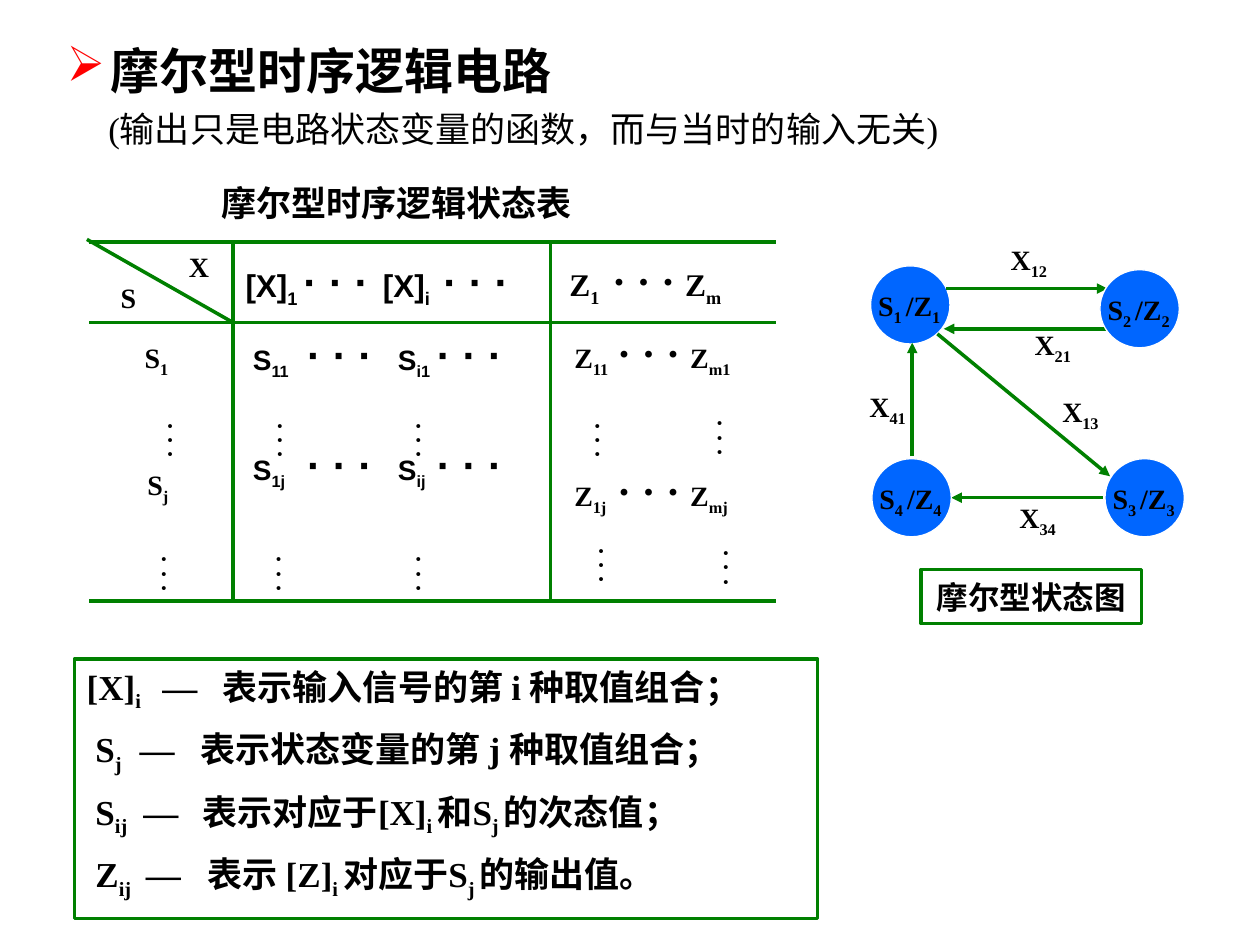
from lxml import etree
from pptx import Presentation
from pptx import util as u
from pptx.dml.color import RGBColor
from pptx.enum import shapes, text
from pptx.oxml import ns

COLORS = {"ink": "000000", "green": "008000", "node": "0066FF",
          "white": "FFFFFF", "bullet": "FF0000"}
SERIF, SANS, CJK = "Times New Roman", "Arial", "Noto Sans CJK SC"
DOTS = "· · ·"


def rgb(name):
    return RGBColor.from_string(COLORS[name])


def child(parent, tag, **attrs):
    return etree.SubElement(parent, ns.qn(tag), attrs)


def add_run(p, content, size, font=SERIF, bold=True, sub=False):
    r = p.add_run()
    r.text = content
    r.font.size, r.font.name, r.font.bold = u.Pt(size), font, bold
    r.font.color.rgb = rgb("ink")
    if sub:
        r.font._element.set("baseline", "-25000")
    if any(c >= "一" for c in content):
        child(r.font._element, "a:ea", typeface=CJK)


def write(p, markup, size, font=SERIF):
    """Text between bars is subscript; rows of dots are set at 24 pt."""
    for i, part in enumerate(markup.split("|")):
        for piece in part.partition(DOTS):
            if piece:
                add_run(p, piece, 24 if piece == DOTS else size, font, sub=i % 2 == 1)


def set_tabs(p, stops):
    tabs = child(p._p.get_or_add_pPr(), "a:tabLst")
    for stop in stops:
        child(tabs, "a:tab", pos=str(u.Inches(stop)), algn="l")


def set_insets(tf, left, top, right, bottom):
    tf.margin_left, tf.margin_top = u.Inches(left), u.Inches(top)
    tf.margin_right, tf.margin_bottom = u.Inches(right), u.Inches(bottom)


def add_text(s, at, markup="", size=16, font=SERIF, tabs=(), wrap=True, center=False):
    sp = s.shapes.add_textbox(*map(u.Inches, at))
    tf = sp.text_frame
    tf.word_wrap = wrap
    p = tf.paragraphs[0]
    if center:
        p.alignment = text.PP_ALIGN.CENTER
    if tabs:
        set_tabs(p, tabs)
    write(p, markup, size, font)
    return tf


def add_vertical_dots(s, x, y, h):
    tf = add_text(s, (x, y, 0.47, h), f"|{DOTS}|")
    tf._txBody.bodyPr.set("vert", "eaVert")


def add_line(s, x1, y1, x2, y2, arrow=False):
    c = s.shapes.add_connector(shapes.MSO_CONNECTOR.STRAIGHT,
                               *map(u.Inches, (x1, y1, x2, y2)))
    c.line.color.rgb = rgb("green")
    c.line.width = u.Pt(2)
    if arrow:
        child(c.line._get_or_add_ln(), "a:tailEnd", type="triangle")
    child(c._element.spPr, "a:effectLst")


def add_frame(s, at):
    sp = s.shapes.add_shape(shapes.MSO_SHAPE.RECTANGLE, *map(u.Inches, at))
    sp.shadow.inherit = False
    sp.fill.background()
    sp.line.color.rgb = rgb("green")
    sp.line.width = u.Pt(2)
    sp.text_frame.word_wrap = True
    return sp.text_frame


def add_node(s, x, y, n):
    sp = s.shapes.add_shape(shapes.MSO_SHAPE.OVAL, *map(u.Inches, (x, y, 0.63, 0.62)))
    sp.shadow.inherit = False
    sp.fill.solid()
    sp.fill.fore_color.rgb = rgb("node")
    sp.line.color.rgb = rgb("white")
    sp.line.width = u.Pt(0.75)
    tf = add_text(s, (x + 0.06, y + 0.18, 0.63, 0.27), f"S|{n} |/Z|{n}|")
    set_insets(tf, 0, 0, 0, 0)


def add_heading(s):
    tf = add_text(s, (0.51, 0.21, 9.4, 1.08))
    set_insets(tf, 0.02, 0.02, 0.02, 0.02)
    p = tf.paragraphs[0]
    p.line_spacing = 1.2
    pPr = p._p.get_or_add_pPr()
    pPr.set("marL", str(u.Inches(0.35)))
    pPr.set("indent", str(-u.Inches(0.35)))
    child(child(pPr, "a:buClr"), "a:srgbClr", val=COLORS["bullet"])
    child(pPr, "a:buChar", char="➢")
    add_run(p, "摩尔型时序逻辑电路", 28)
    p = tf.add_paragraph()
    p.line_spacing = 1.2
    p._p.get_or_add_pPr().set("marL", str(u.Inches(0.33)))
    for content, font in (("(", SERIF),
                          ("输出只是电路状态变量的函数，而与当时的输入无关", CJK),
                          (")", SERIF)):
        add_run(p, content, 20, font, bold=False)


def add_state_table(s):
    add_text(s, (1.66, 1.39, 3.73, 0.43), "摩尔型时序逻辑状态表", 20)

    # Rules
    for y in (1.92, 2.56, 4.77):
        add_line(s, 0.71, y, 6.16, y)
    for x in (1.85, 4.37):
        add_line(s, x, 1.92, x, 4.77)
    add_line(s, 0.69, 1.9, 1.85, 2.56)

    # Header row
    add_text(s, (1.4, 1.93, 0.4, 0.37), "X")
    add_text(s, (0.86, 2.18, 0.4, 0.37), "S")
    tf = add_text(s, (1.85, 1.92, 2.55, 0.64), f"[X]|1|\t{DOTS}\t[X]|i|\t{DOTS}",
                  18, SANS, (0.46, 1.09, 1.57))
    tf.vertical_anchor = text.MSO_ANCHOR.MIDDLE
    z_tabs = (0.34, 0.92)
    add_text(s, (4.42, 1.97, 1.74, 0.5), f"Z|1|\t{DOTS}\tZ|m|", 18, tabs=z_tabs)

    # Body rows
    add_text(s, (1.05, 2.65, 0.57, 0.37), "S|1|")
    set_insets(add_text(s, (1.17, 3.71, 0.33, 0.27), "S|j|"), 0, 0, 0, 0)
    for n, s_top, z_top in (("1", 2.56, 2.54), ("j", 3.43, 3.64)):
        add_text(s, (1.91, s_top, 2.4, 0.5), f"S|1{n}|\t{DOTS}\tS|i{n}|\t{DOTS}",
                 16, SANS, (0.43, 1.15, 1.46))
        add_text(s, (4.46, z_top, 1.84, 0.5), f"Z|1{n}|\t{DOTS}\tZ|m{n}|", tabs=z_tabs)

    # Vertical dots: left, top, height
    for dots in ((1.2, 3.17, 0.8), (2.07, 3.17, 0.8), (3.17, 3.17, 0.69),
                 (4.59, 3.17, 0.63), (5.56, 3.15, 0.65),
                 (1.15, 4.23, 0.76), (2.06, 4.23, 0.65), (3.17, 4.23, 0.76),
                 (4.62, 4.16, 0.77), (5.61, 4.18, 0.58)):
        add_vertical_dots(s, *dots)


def add_state_diagram(s):
    # Transitions: index, label position, arrow ends
    nodes = ((6.91, 2.11), (8.73, 2.14), (8.77, 3.64), (6.92, 3.64))
    add_node(s, *nodes[0], 1)
    for n, x, y, ends in (("12", 7.91, 1.88, (7.51, 2.29, 8.79, 2.29)),
                          ("21", 8.1, 2.55, (8.81, 2.61, 7.49, 2.61)),
                          ("13", 8.32, 3.08, (7.44, 2.65, 8.81, 3.78)),
                          ("34", 7.98, 3.92, (8.75, 3.95, 7.55, 3.95)),
                          ("41", 6.79, 3.04, (7.24, 3.62, 7.24, 2.72))):
        add_line(s, *ends, arrow=True)
        add_text(s, (x, y, 0.51, 0.37), f"X|{n}|", wrap=False, center=True)
    for n, node in enumerate(nodes[1:], 2):
        add_node(s, *node, n)

    # Caption
    p = add_frame(s, (7.31, 4.52, 1.75, 0.43)).paragraphs[0]
    p.alignment = text.PP_ALIGN.CENTER
    write(p, "摩尔型状态图", 18)


def add_legend(s):
    tf = add_frame(s, (0.59, 5.23, 5.9, 2.06))
    tf.vertical_anchor = text.MSO_ANCHOR.TOP
    set_insets(tf, 0.1, 0.05, 0.02, 0)
    rows = (("[X]|i|\t—\t表示输入信号的第 i 种取值组合；", (0.6, 1.08)),
            (" S|j|\t—\t表示状态变量的第 j 种取值组合；", (0.42, 0.9)),
            (" S|ij|\t—\t表示对应于[X]|i |和S|j |的次态值；", (0.45, 0.92)),
            (" Z|ij|\t—\t表示 [Z]|i |对应于S|j |的输出值。", (0.47, 0.96)))
    for i, (markup, tabs) in enumerate(rows):
        p = tf.add_paragraph() if i else tf.paragraphs[0]
        p.alignment = text.PP_ALIGN.LEFT
        if i:
            p.space_before = u.Pt(8.4)
        set_tabs(p, tabs)
        write(p, markup, 20)


def main():
    prs = Presentation()
    prs.slide_width, prs.slide_height = u.Inches(10), u.Inches(7.5)
    s = prs.slides.add_slide(prs.slide_layouts[6])
    add_state_table(s)
    add_state_diagram(s)
    add_legend(s)
    add_heading(s)
    prs.save("out.pptx")


if __name__ == "__main__":
    main()
